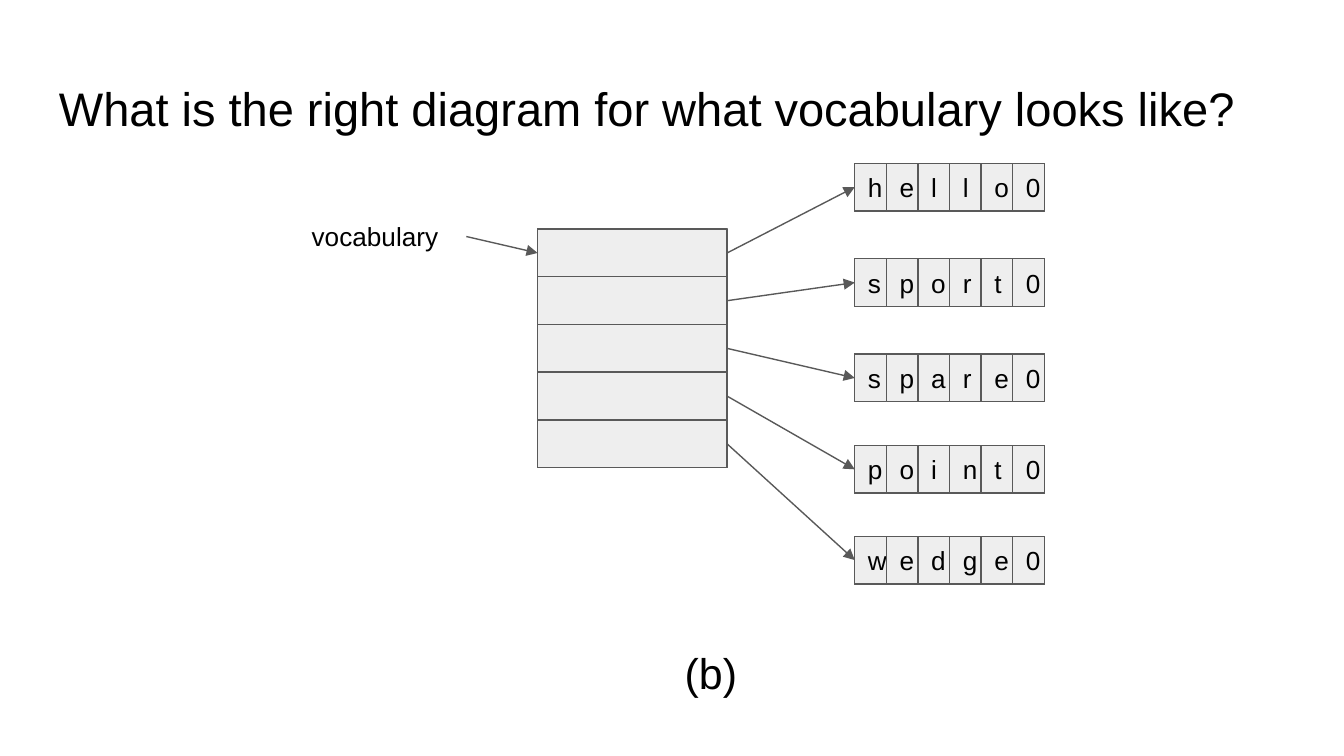
from dataclasses import dataclass

from lxml import etree
from pptx import Presentation
from pptx.dml.color import RGBColor
from pptx.enum.shapes import MSO_CONNECTOR, MSO_SHAPE
from pptx.enum.text import MSO_ANCHOR, MSO_AUTO_SIZE, PP_ALIGN
from pptx.oxml.ns import qn
from pptx.util import Emu, Pt

STRAIGHT = MSO_CONNECTOR.STRAIGHT
RECTANGLE = MSO_SHAPE.RECTANGLE
TOP, MIDDLE = MSO_ANCHOR.TOP, MSO_ANCHOR.MIDDLE
FIT_TEXT, NO_FIT = MSO_AUTO_SIZE.SHAPE_TO_FIT_TEXT, MSO_AUTO_SIZE.NONE
LEFT, CENTER = PP_ALIGN.LEFT, PP_ALIGN.CENTER
LEFT_SIDE, RIGHT_SIDE = 1, 3

EMU_PER_PX = 4572
FONT = "Arial"
INK, FILL, STROKE = "000000", "EEEEEE", "595959"
INSET = 20
CELL_WIDTH, CELL_HEIGHT = 47, 71
BLOCK_WIDTH = 6 * CELL_WIDTH
ARRAY_LEFT, ARRAY_TOP = 800, 341
WORD_LEFT = 1272


@dataclass(frozen=True)
class Label:
    text: str
    left: int
    top: int
    width: int
    height: int
    size: float
    align: PP_ALIGN = LEFT
    anchor: MSO_ANCHOR = TOP
    fit: MSO_AUTO_SIZE = FIT_TEXT


@dataclass(frozen=True)
class Word:
    letters: str
    top: int


TITLE = Label("What is the right diagram for what vocabulary looks like?",
              68, 98, 1864, 126, 25.2, anchor=MIDDLE, fit=NO_FIT)
VARIABLE = Label("vocabulary", 444, 308, 250, 88, 14)
CAPTION = Label("(b)", 982, 942, 152, 118, 23, align=CENTER)
WORDS = [
    Word("hello0", 243),
    Word("sport0", 385),
    Word("spare0", 527),
    Word("point0", 663),
    Word("wedge0", 798),
]


def px(length: int) -> Emu:
    return Emu(length * EMU_PER_PX)


def colour(value: str) -> RGBColor:
    return RGBColor.from_string(value)


def write(box, text: str, size: float, align: PP_ALIGN, anchor: MSO_ANCHOR) -> None:
    frame = box.text_frame
    frame.word_wrap = True
    frame.vertical_anchor = anchor
    frame.margin_left = frame.margin_right = px(INSET)
    frame.margin_top = frame.margin_bottom = px(INSET)
    para = frame.paragraphs[0]
    para.alignment = align
    span = para.add_run()
    span.text = text
    span.font.name = FONT
    span.font.size = Pt(size)
    span.font.color.rgb = colour(INK)


def draw_label(page, label: Label):
    box = page.shapes.add_textbox(px(label.left), px(label.top),
                                  px(label.width), px(label.height))
    write(box, label.text, label.size, label.align, label.anchor)
    box.text_frame.auto_size = label.fit
    return box


def draw_cell(group, left: int, top: int, width: int, height: int, letter: str = ""):
    box = group.shapes.add_shape(RECTANGLE, px(left), px(top), px(width), px(height))
    box.shadow.inherit = False
    box.fill.solid()
    box.fill.fore_color.rgb = colour(FILL)
    box.line.color.rgb = colour(STROKE)
    box.line.width = Pt(0.75)
    if letter:
        write(box, letter, 14, LEFT, MIDDLE)
    return box


def draw_array(page, count: int) -> list:
    group = page.shapes.add_group_shape()
    draw_cell(group, ARRAY_LEFT, ARRAY_TOP, BLOCK_WIDTH, count * CELL_HEIGHT)
    return [draw_cell(group, ARRAY_LEFT, ARRAY_TOP + row * CELL_HEIGHT,
                      BLOCK_WIDTH, CELL_HEIGHT) for row in range(count)]


def draw_word(page, word: Word):
    group = page.shapes.add_group_shape()
    draw_cell(group, WORD_LEFT, word.top, BLOCK_WIDTH, CELL_HEIGHT)
    cells = [draw_cell(group, WORD_LEFT + column * CELL_WIDTH, word.top,
                       CELL_WIDTH, CELL_HEIGHT, letter)
             for column, letter in enumerate(word.letters)]
    return cells[0]


def draw_arrow(page, source, target) -> None:
    arrow = page.shapes.add_connector(STRAIGHT, 0, 0, 0, 0)
    arrow.begin_connect(source, RIGHT_SIDE)
    arrow.end_connect(target, LEFT_SIDE)
    arrow.line.color.rgb = colour(STROKE)
    arrow.line.width = Pt(0.75)
    tail = etree.SubElement(arrow.line._get_or_add_ln(), qn("a:tailEnd"))
    tail.set("type", "triangle")
    etree.SubElement(arrow._element.spPr, qn("a:effectLst"))


def main() -> None:
    deck = Presentation()
    deck.slide_width, deck.slide_height = px(2000), px(1125)
    page = deck.slides.add_slide(deck.slide_layouts[6])
    draw_label(page, TITLE)
    slots = draw_array(page, len(WORDS))
    first_cells = [draw_word(page, word) for word in WORDS]
    for slot, first_cell in zip(slots, first_cells):
        draw_arrow(page, slot, first_cell)
    variable = draw_label(page, VARIABLE)
    draw_arrow(page, variable, slots[0])
    draw_label(page, CAPTION)
    deck.save("out.pptx")


if __name__ == "__main__":
    main()
